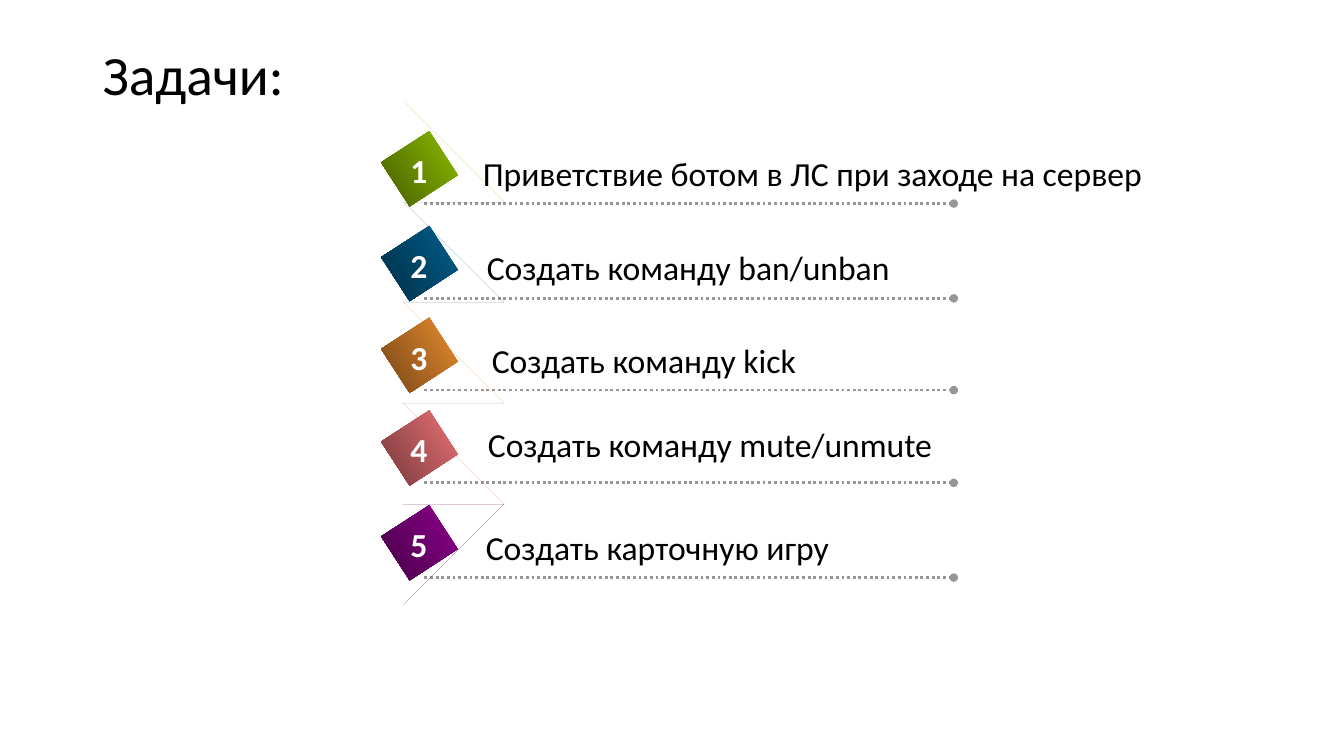
from pptx import Presentation
from pptx.dml.color import RGBColor
from pptx.enum.dml import MSO_LINE_DASH_STYLE as Dash
from pptx.enum.shapes import MSO_CONNECTOR as Connector, MSO_SHAPE as Preset
from pptx.enum.text import MSO_ANCHOR as Anchor, MSO_AUTO_SIZE as AutoSize, PP_ALIGN as Align
from pptx.oxml.ns import qn
from pptx.util import Inches, Pt
from lxml import etree

FONT = "Calibri"
COLORS = {
    "text": "000000", "number": "FFFFFF", "rule": "969696",
    "green": "99CC00", "blue": "006699", "orange": "FF9933",
    "pink": "FF7C80", "purple": "990099",
}
# Cube sides relative to the row box, in inches
RIGHT_SIDE = [(0.43, 0), (0.62, 0.02), (0.87, 0.44), (0.7, 0.46)]
BOTTOM_SIDE = [(0.26, 0.75), (0.7, 0.46), (0.87, 0.44), (0.46, 0.73)]
# Row top, cube colour, task, task left and top within the row
ROW_LEFT = 3.82
TASKS = [
    (1.3, "green", "Приветствие ботом в ЛС при заходе на сервер", 0.87, 0.17, 7.73),
    (2.24, "blue", "Создать команду ban/unban", 0.91, 0.16, 4.23),
    (3.15, "orange", "Создать команду kick", 0.96, 0.17, 3.24),
    (4.07, "pink", "Создать команду mute/unmute", 0.92, 0.09, 4.65),
    (5.01, "purple", "Создать карточную игру", 0.9, 0.17, 3.64),
]


def shade(name, factor):
    color = RGBColor.from_string(COLORS[name])
    return RGBColor(*(round(channel * factor) for channel in color))


def add_text(slide, text, left, top, width, height, size=24, color="text", bold=False):
    box = slide.shapes.add_textbox(Inches(left), Inches(top), Inches(width), Inches(height))
    text_frame = box.text_frame
    text_frame.text = text
    text_frame.word_wrap = False
    text_frame.auto_size = AutoSize.SHAPE_TO_FIT_TEXT
    font = text_frame.paragraphs[0].runs[0].font
    font.name, font.size, font.bold = FONT, Pt(size), bold
    font.color.rgb = RGBColor.from_string(COLORS[color])
    return text_frame


def add_title(slide, text, left, top, width, height):
    text_frame = add_text(slide, text, left, top, width, height, size=39.6)
    text_frame.word_wrap = True
    text_frame.auto_size = AutoSize.NONE
    text_frame.vertical_anchor = Anchor.MIDDLE
    text_frame.paragraphs[0].line_spacing = 0.9


def add_rule(slide, left, top, width):
    rule = slide.shapes.add_connector(
        Connector.STRAIGHT, Inches(left), Inches(top), Inches(left + width), Inches(top))
    rule.line.width = Pt(2)
    rule.line.color.rgb = RGBColor.from_string(COLORS["rule"])
    rule.line.dash_style = Dash.ROUND_DOT
    # Oval end and no shadow
    line = rule.line._get_or_add_ln()
    etree.SubElement(line, qn("a:tailEnd"), type="oval")
    etree.SubElement(rule._element.spPr, qn("a:effectLst"))


def add_cube(slide, color, left, top):
    # Sides
    for points, factor in ((RIGHT_SIDE, 0.93), (BOTTOM_SIDE, 0.45)):
        corners = [(left + x, top + y) for x, y in points]
        builder = slide.shapes.build_freeform(*corners[0], scale=Inches(1))
        builder.add_line_segments(corners[1:])
        side = builder.convert_to_shape()
        side.shadow.inherit = False
        side.fill.solid()
        side.fill.fore_color.rgb = shade(color, factor)
        side.line.fill.background()
    # Front face, darker towards its left edge
    front = slide.shapes.add_shape(
        Preset.RECTANGLE, Inches(left + 0.08), Inches(top + 0.09), Inches(0.52), Inches(0.57))
    front.rotation = 57
    front.shadow.inherit = False
    front.line.fill.background()
    front.fill.gradient()
    front.fill.gradient_angle = 270
    for stop, position, factor in zip(front.fill.gradient_stops, (0, 1), (0.92, 0.46)):
        stop.position = position
        stop.color.rgb = shade(color, factor)


def add_task(slide, number, left, top, color, task, task_left, task_top, task_width):
    add_rule(slide, left + 0.39, top + 0.72, 5.25)
    add_cube(slide, color, left, top)
    add_text(slide, task, left + task_left, top + task_top, task_width, 0.5)
    label = add_text(slide, str(number), left + 0.14, top + 0.14, 0.39, 0.5,
                     color="number", bold=True)
    label.paragraphs[0].alignment = Align.CENTER


presentation = Presentation()
presentation.slide_width, presentation.slide_height = Inches(13.33), Inches(7.5)
slide = presentation.slides.add_slide(presentation.slide_layouts[6])
add_title(slide, "Задачи:", 0.92, 0.4, 11.5, 0.73)
for number, (top, *details) in enumerate(TASKS, start=1):
    add_task(slide, number, ROW_LEFT, top, *details)
# The first task runs the full width of its box
presentation.save("out.pptx")
